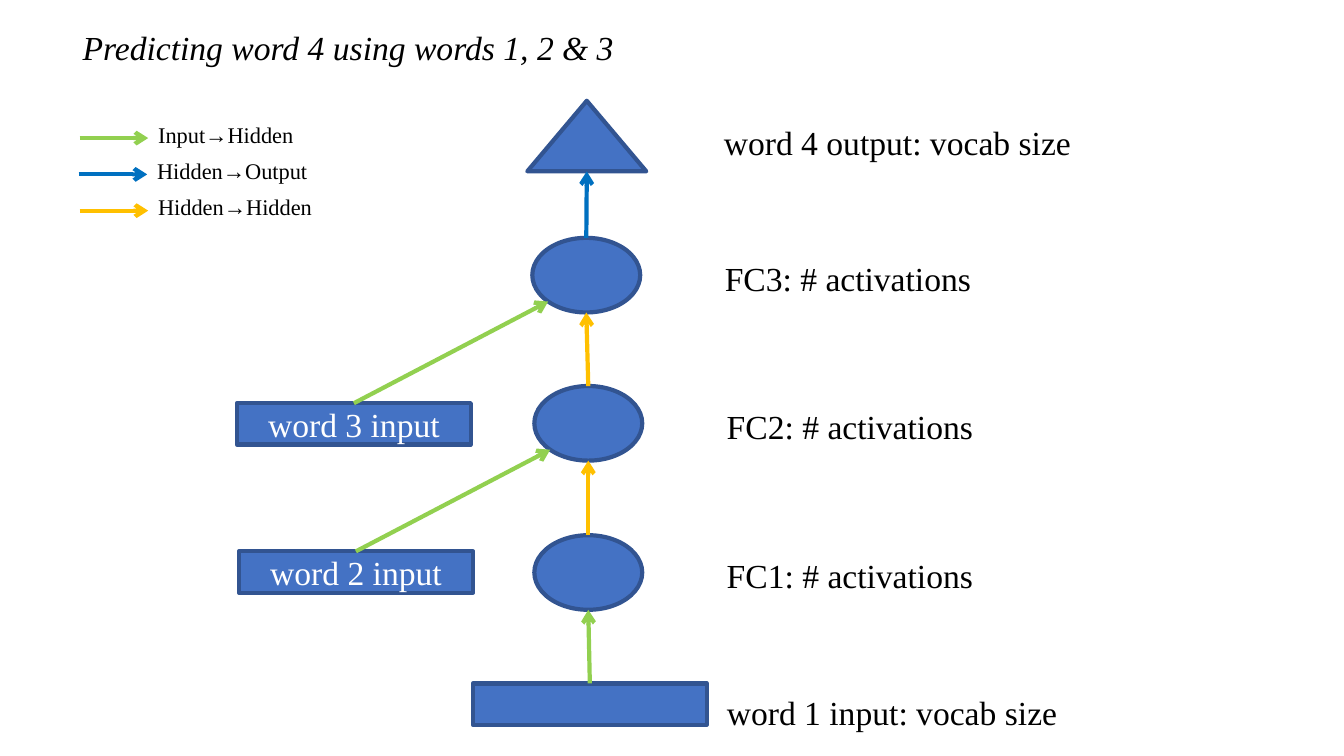
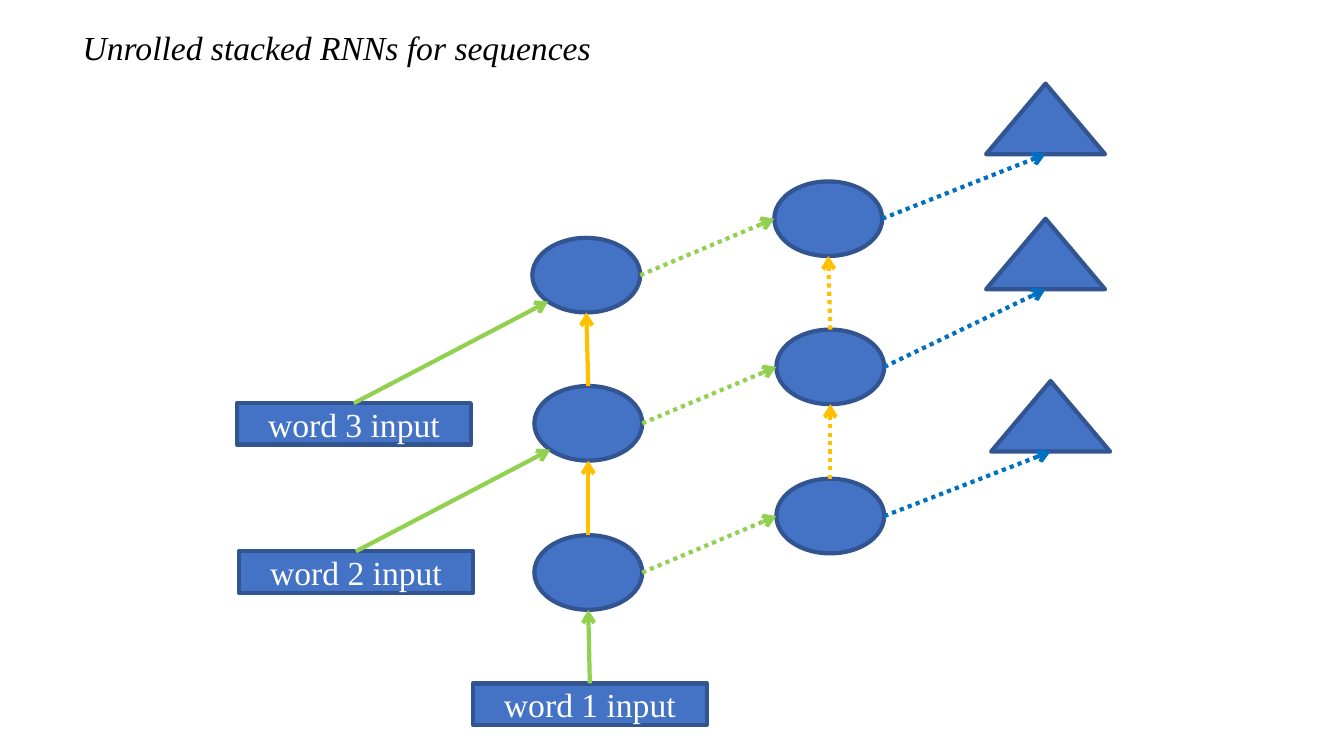
from math import sqrt

from lxml.etree import SubElement
from pptx import Presentation
from pptx.dml.color import RGBColor
from pptx.enum.dml import MSO_LINE
from pptx.enum.shapes import MSO_CONNECTOR, MSO_SHAPE
from pptx.enum.text import MSO_ANCHOR, MSO_AUTO_SIZE, PP_ALIGN
from pptx.oxml.ns import qn
from pptx.util import Pt

PX = 9144  # 100 px to the inch
FONT = "Times New Roman"
BLACK, WHITE = "000000", "FFFFFF"
NODE_FILL, NODE_LINE = "4472C4", "325491"
INPUT_HIDDEN, HIDDEN_OUTPUT, HIDDEN_HIDDEN = "92D050", "0070C0", "FFC000"

INPUT_SIZE, HIDDEN_SIZE, OUTPUT_SIZE = (232, 41), (107, 74), (118, 70)
# Hidden layers from the bottom up, relative to the lowest one
HIDDEN_OFFSETS = [(0, 0), (0, -148), (-2, -295)]
STACK_ORIGIN = (530, 531)
UPPER_STACK_ORIGIN = (770, 475)

TOP, BOTTOM, LEFT, RIGHT = (0.5, 0), (0.5, 1), (0, 0.5), (1, 0.5)
LOWER_LEFT = ((1 - sqrt(0.5)) / 2, (1 + sqrt(0.5)) / 2)


def rgb(color):
    return RGBColor.from_string(color)


def add_run(paragraph, text, size, color, italic=None):
    run = paragraph.add_run()
    run.text = text
    run.font.name = FONT
    run.font.size = Pt(size)
    run.font.italic = italic
    run.font.color.rgb = rgb(color)


def add_label(slide, left, top, width, text, size=24, italic=None):
    height = 50 if size == 24 else 37
    label = slide.shapes.add_textbox(left * PX, top * PX, width * PX, height * PX)
    frame = label.text_frame
    frame.word_wrap = False
    frame.auto_size = MSO_AUTO_SIZE.SHAPE_TO_FIT_TEXT
    add_run(frame.paragraphs[0], text, size, BLACK, italic)


def add_node(slide, kind, left, top, size, text=""):
    width, height = size
    node = slide.shapes.add_shape(kind, left * PX, top * PX, width * PX, height * PX)
    node.shadow.inherit = False
    node.fill.solid()
    node.fill.fore_color.rgb = rgb(NODE_FILL)
    node.line.color.rgb = rgb(NODE_LINE)
    node.line.width = Pt(3)
    if text:
        frame = node.text_frame
        frame.word_wrap = True
        frame.vertical_anchor = MSO_ANCHOR.MIDDLE
        frame.paragraphs[0].alignment = PP_ALIGN.CENTER
        add_run(frame.paragraphs[0], text, 24, WHITE)
    return node


def add_output(slide, left, top):
    return add_node(slide, MSO_SHAPE.ISOSCELES_TRIANGLE, left, top, OUTPUT_SIZE)


def point_on(node, side):
    """Return the EMU position of a point given as fractions of the node's box."""
    across, down = side
    return round(node.left + across * node.width), round(node.top + down * node.height)


def add_arrow(slide, start, end, color, dotted=False):
    arrow = slide.shapes.add_connector(MSO_CONNECTOR.STRAIGHT, *start, *end)
    arrow.line.color.rgb = rgb(color)
    arrow.line.width = Pt(3)
    if dotted:
        arrow.line.dash_style = MSO_LINE.ROUND_DOT
    SubElement(arrow.line._get_or_add_ln(), qn("a:tailEnd"), type="arrow")
    SubElement(arrow._element.spPr, qn("a:effectLst"))
    return arrow


def link(slide, source, source_side, target, target_side, color, dotted=False):
    arrow = add_arrow(slide, point_on(source, source_side),
                      point_on(target, target_side), color, dotted)
    if source_side == TOP:
        arrow.begin_connect(source, 0)


def add_hidden_stack(slide, origin, dotted=False):
    left, top = origin
    layers = [add_node(slide, MSO_SHAPE.OVAL, left + dx, top + dy, HIDDEN_SIZE)
              for dx, dy in HIDDEN_OFFSETS]
    for lower, upper in zip(layers, layers[1:]):
        link(slide, lower, TOP, upper, BOTTOM, HIDDEN_HIDDEN, dotted)
    return layers


def add_word_inputs(slide, origin, layers, first_text):
    """Place the first input under the stack and the others beside its layers."""
    left, top = origin
    texts = [first_text, "word 2 input", "word 3 input"]
    for number, (text, layer, (dx, dy)) in enumerate(zip(texts, layers, HIDDEN_OFFSETS)):
        shift_x, shift_y = (-293, 164) if number else (-61, 147)
        word = add_node(slide, MSO_SHAPE.RECTANGLE, left + dx + shift_x,
                        top + dy + shift_y, INPUT_SIZE, text)
        link(slide, word, TOP, layer, LOWER_LEFT if number else BOTTOM, INPUT_HIDDEN)


def add_layer_labels(slide, origin):
    left, top = origin
    for number, (dx, dy) in enumerate(HIDDEN_OFFSETS, 1):
        add_label(slide, left + dx + 181, top + dy + 15, 267, f"FC{number}: # activations")
    add_label(slide, left + 181, top + 151, 351, "word 1 input: vocab size")
    add_label(slide, left + 178, top - 415, 368, "word 4 output: vocab size")


def add_legend(slide, left, top):
    entries = [("Input→Hidden", 156, INPUT_HIDDEN),
               ("Hidden→Output", 171, HIDDEN_OUTPUT),
               ("Hidden→Hidden", 174, HIDDEN_HIDDEN)]
    for row, (text, width, color) in enumerate(entries):
        indent = -1 if row == 1 else 0
        start, end = left + indent, left + indent + 68
        y = top + 36 * row
        add_arrow(slide, (start * PX, y * PX), (end * PX, y * PX), color)
        add_label(slide, end, y - 22, width, text, size=16)


def add_titled_slide(deck, title, width):
    slide = deck.slides.add_slide(deck.slide_layouts[6])
    add_label(slide, 72, 22, width, title, italic=True)
    return slide


def build_prediction_slide(deck):
    slide = add_titled_slide(deck, "Predicting word 4 using words 1, 2 & 3", 552)
    layers = add_hidden_stack(slide, STACK_ORIGIN)
    add_word_inputs(slide, STACK_ORIGIN, layers, first_text="")
    output = add_output(slide, 523, 100)
    link(slide, layers[-1], TOP, output, BOTTOM, HIDDEN_OUTPUT)
    add_layer_labels(slide, STACK_ORIGIN)
    add_legend(slide, 79, 137)


def build_unrolled_slide(deck):
    slide = add_titled_slide(deck, "Unrolled stacked RNNs for sequences", 529)
    layers = add_hidden_stack(slide, STACK_ORIGIN)
    add_word_inputs(slide, STACK_ORIGIN, layers, first_text="word 1 input")
    upper_layers = add_hidden_stack(slide, UPPER_STACK_ORIGIN, dotted=True)
    output_places = [(983, 378), (978, 217), (978, 83)]
    for layer, upper, place in zip(layers, upper_layers, output_places):
        output = add_output(slide, *place)
        link(slide, layer, RIGHT, upper, LEFT, INPUT_HIDDEN, dotted=True)
        link(slide, upper, RIGHT, output, BOTTOM, HIDDEN_OUTPUT, dotted=True)


def main():
    deck = Presentation()
    deck.slide_width, deck.slide_height = 1333 * PX, 750 * PX
    build_prediction_slide(deck)
    build_unrolled_slide(deck)
    deck.save("out.pptx")


if __name__ == "__main__":
    main()
